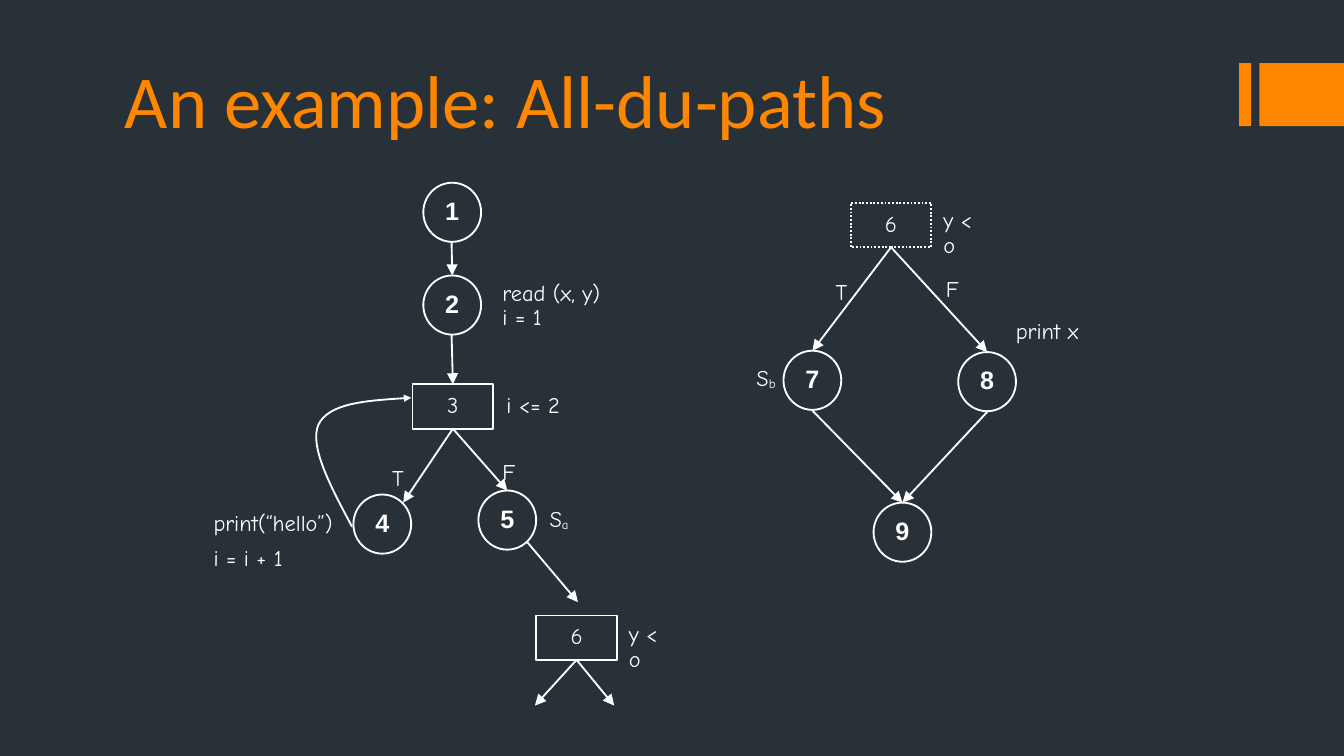
from lxml import etree
from pptx import Presentation
from pptx.dml.color import RGBColor
from pptx.enum.dml import MSO_LINE
from pptx.enum.shapes import MSO_CONNECTOR as Link, MSO_SHAPE as Kind
from pptx.enum.text import MSO_ANCHOR as Anchor, PP_ALIGN as Align
from pptx.oxml.ns import qn
from pptx.util import Inches, Pt

DARK = RGBColor(0x28, 0x31, 0x38)
ORANGE = RGBColor(0xFF, 0x86, 0x00)
WHITE = RGBColor(0xFF, 0xFF, 0xFF)
HAND, BOLD = "Comic Neue", "Arial"
TOP, BOTTOM = 0, 2
CIRCLE, BOX = (0.43, 0.44), (0.6, 0.33)


class Graph:
    """Style and slide of a control-flow graph."""

    def __init__(self, slide):
        self.slide = slide
        self.shapes = slide.shapes
        slide.background.fill.solid()
        slide.background.fill.fore_color.rgb = DARK

    def style(self, par, font, size, color=WHITE, bold=False):
        for run in par.runs:
            run.font.name, run.font.size = font, Pt(size)
            run.font.bold = bold
            run.font.color.rgb = color

    def title(self, text):
        head = self.shapes.title
        head.left, head.top = Inches(0.83), Inches(0.18)
        head.width, head.height = Inches(8), Inches(0.95)
        head.text_frame.text = text
        head.text_frame.vertical_anchor = Anchor.BOTTOM
        par = head.text_frame.paragraphs[0]
        par.alignment = Align.LEFT
        par.line_spacing = 0.9
        self.style(par, "Calibri", 40, ORANGE)

    def bar(self, x, width):
        bar = self.shapes.add_shape(
            Kind.RECTANGLE, Inches(x), Inches(0.47), Inches(width), Inches(0.47))
        bar.shadow.inherit = False
        bar.fill.solid()
        bar.fill.fore_color.rgb = ORANGE
        bar.line.fill.background()

    def outline(self, shape):
        shape.shadow.inherit = False
        shape.fill.background()
        shape.line.color.rgb = WHITE
        shape.line.width = Pt(1)

    def node(self, text, x, y, kind, size, font, points, bold):
        node = self.shapes.add_shape(kind, *map(Inches, (x, y, *size)))
        self.outline(node)
        frame = node.text_frame
        frame.word_wrap = False
        frame.vertical_anchor = Anchor.MIDDLE
        frame.text = text
        par = frame.paragraphs[0]
        par.alignment = Align.CENTER
        par.line_spacing = 0.9
        self.style(par, font, points, bold=bold)
        return node

    def circle(self, text, x, y):
        return self.node(text, x, y, Kind.OVAL, CIRCLE, BOLD, 13.5, True)

    def box(self, text, x, y):
        return self.node(text, x, y, Kind.RECTANGLE, BOX, HAND, 12, False)

    def label(self, text, x, y, width, height=0.28, sub=""):
        note = self.shapes.add_textbox(*map(Inches, (x, y, width, height)))
        frame = note.text_frame
        frame.word_wrap = True
        frame.text = text
        if sub:
            run = frame.paragraphs[0].add_run()
            run.text = sub
            run._r.get_or_add_rPr().set("baseline", "-10000")
        for i, par in enumerate(frame.paragraphs):
            par.line_spacing = 0.9
            if i:
                par.space_before = Pt(6)
            self.style(par, HAND, 12)

    def head(self, shape, size="med"):
        line = shape.line._get_or_add_ln()
        etree.SubElement(line, qn("a:tailEnd"), type="triangle", w=size, len=size)

    def arrow(self, start, end):
        """Each end is a point (x, y) or a joint (shape, site)."""
        joints = [hasattr(first, "shape_id") for first, _ in (start, end)]
        a, b = [(0, 0) if joint else spot
                for joint, spot in zip(joints, (start, end))]
        line = self.shapes.add_connector(Link.STRAIGHT, *map(Inches, (*a, *b)))
        if joints[0]:
            line.begin_connect(*start)
        if joints[1]:
            line.end_connect(*end)
        line.line.color.rgb = WHITE
        line.line.width = Pt(1)
        self.head(line)
        etree.SubElement(line._element.spPr, qn("a:effectLst"))

    def curve(self, start, *points):
        """Cubic curve: each three points are two handles and an end."""
        spots = [tuple(map(Inches, point)) for point in points]
        pen = self.shapes.build_freeform(*map(Inches, start))
        pen.add_line_segments(spots, close=False)
        curve = pen.convert_to_shape()
        route = curve._element.find(".//" + qn("a:path"))
        steps = route.findall(qn("a:lnTo"))
        for i in range(0, len(steps), 3):
            bend = etree.SubElement(route, qn("a:cubicBezTo"))
            for step in steps[i:i + 3]:
                bend.append(step[0])
                route.remove(step)
        self.outline(curve)
        self.head(curve, "sm")


def main():
    deck = Presentation()
    deck.slide_width = Inches(10)
    deck.slide_height = deck.slide_width * 9 // 16
    graph = Graph(deck.slides.add_slide(deck.slide_layouts[5]))

    # Title and corner bars
    graph.title("An example: All-du-paths")
    graph.bar(9.22, 0.09)
    graph.bar(9.37, 0.63)

    # Left graph: nodes
    graph.circle("1", 3.15, 1.36)
    two = graph.circle("2", 3.15, 2.05)
    loop = graph.box("3", 3.07, 2.86)
    graph.circle("4", 2.63, 3.68)
    five = graph.circle("5", 3.56, 3.65)
    test = graph.box("6", 3.99, 4.58)

    # Left graph: edges
    graph.arrow((3.36, 1.8), (two, TOP))
    graph.arrow((3.36, 2.49), (loop, TOP))
    graph.arrow((loop, BOTTOM), (3, 3.74))
    graph.arrow((loop, BOTTOM), (five, TOP))
    graph.arrow((3.92, 4.03), (4.3, 4.48))
    for x in (3.98, 4.57):
        graph.arrow((test, BOTTOM), (x, 5.25))
    graph.curve((2.62, 3.92), (2.46, 3.62), (2.3, 3.32), (2.37, 3.16),
                (2.45, 3), (2.75, 2.98), (3.06, 2.96))

    # Left graph: labels
    graph.label("read (x, y)\vi = 1", 3.64, 2.05, 0.99, 0.65)
    graph.label("i <= 2", 3.67, 2.88, 0.83)
    graph.label("print(“hello”)\ni = i + 1", 1.49, 3.76, 1.21, 0.57)
    graph.label("T", 2.82, 3.43, 0.4)
    graph.label("F", 3.64, 3.38, 0.4)
    graph.label("S", 3.99, 3.73, 0.39, sub="a")
    graph.label("y < o", 4.58, 4.59, 0.51, 0.46)

    # Right graph: nodes
    fork = graph.box("6", 6.33, 1.51)
    fork.line.dash_style = MSO_LINE.ROUND_DOT
    seven = graph.circle("7", 5.83, 2.61)
    eight = graph.circle("8", 7.13, 2.62)
    nine = graph.circle("9", 6.5, 3.74)

    # Right graph: edges
    for node in (seven, eight):
        graph.arrow((fork, BOTTOM), (node, TOP))
    for foot in ((6.04, 3.05), (7.35, 3.06)):
        graph.arrow(foot, (nine, TOP))

    # Right graph: labels
    graph.label("y < o", 6.92, 1.51, 0.51, 0.46)
    graph.label("T", 6.12, 2.04, 0.4)
    graph.label("F", 6.94, 2.02, 0.4)
    graph.label("print x", 7.46, 2.33, 0.83)
    graph.label("S", 5.53, 2.68, 0.36, 0.4, sub="b")

    deck.save("out.pptx")


if __name__ == "__main__":
    main()
